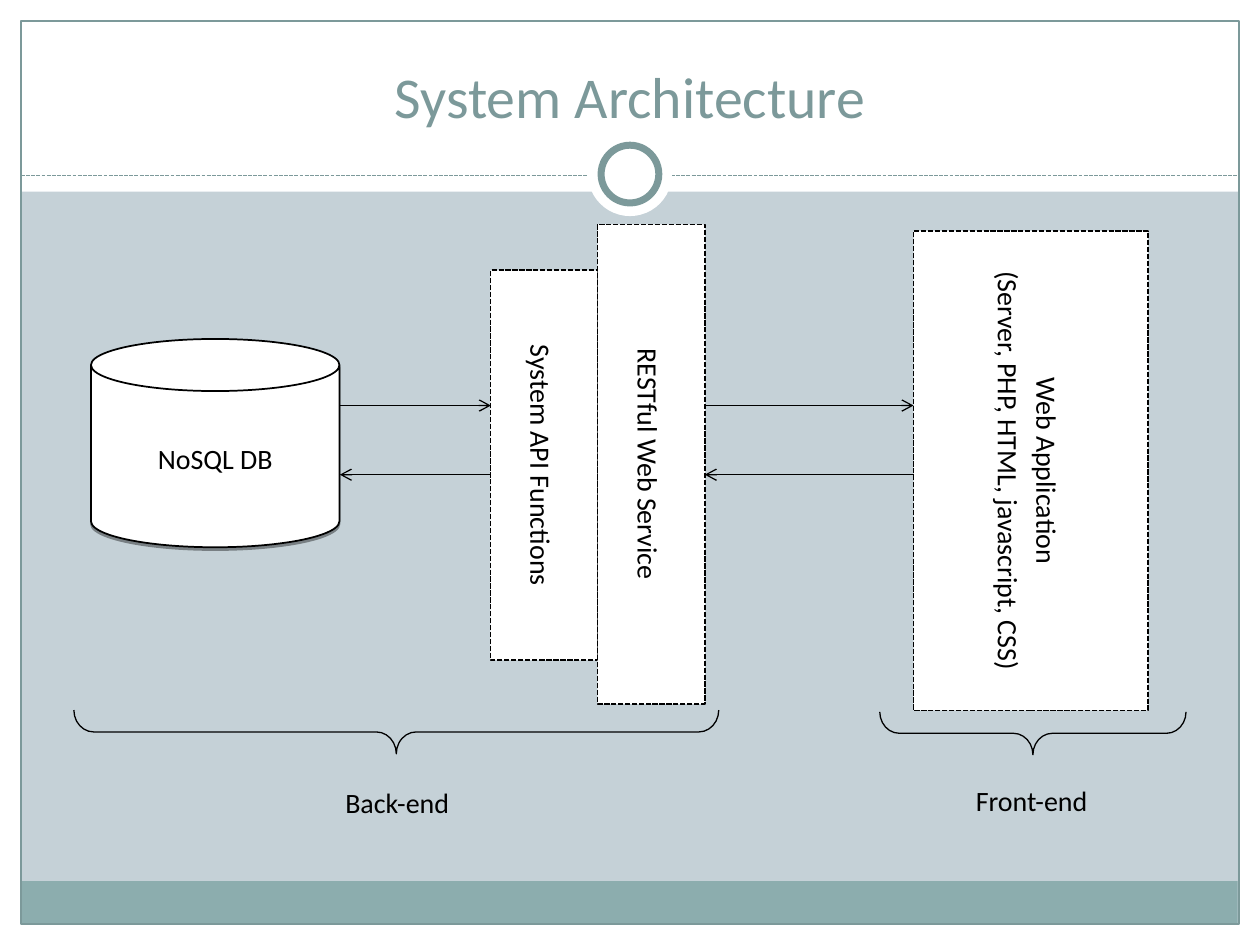
from lxml import etree
from pptx import Presentation
from pptx.dml.color import RGBColor
from pptx.enum import dml, shapes, text
from pptx.oxml.ns import qn
from pptx.util import Pt

COLORS = {"background": "C5D1D7", "white": "FFFFFF", "band": "8CADAE",
          "accent": "7C999A", "black": "000000"}
FONT = "Calibri"
KIND = shapes.MSO_SHAPE

presentation = Presentation()
presentation.slide_width, presentation.slide_height = Pt(720), Pt(540)
slide = presentation.slides.add_slide(presentation.slide_layouts[5])
slide.background.fill.solid()
slide.background.fill.fore_color.rgb = RGBColor.from_string(COLORS["background"])


def add_shape(kind, box, fill=None, line=None, width=0.75, dashed=False):
    shape = slide.shapes.add_shape(kind, *[Pt(value) for value in box])
    shape.shadow.inherit = False
    if fill:
        shape.fill.solid()
        shape.fill.fore_color.rgb = RGBColor.from_string(COLORS[fill])
    else:
        shape.fill.background()
    if line:
        shape.line.color.rgb = RGBColor.from_string(COLORS[line])
        shape.line.width = Pt(width)
        if dashed:
            shape.line.dash_style = dml.MSO_LINE.SQUARE_DOT
    else:
        shape.line.fill.background()
    return shape


def add_line(start_x, end_x, y, color):
    connector = slide.shapes.add_connector(
        shapes.MSO_CONNECTOR.STRAIGHT, Pt(start_x), Pt(y), Pt(end_x), Pt(y))
    connector.line.color.rgb = RGBColor.from_string(COLORS[color])
    connector.line.width = Pt(0.75)
    etree.SubElement(connector._element.spPr, qn("a:effectLst"))
    return connector


# Slide frame: white margins, bottom band and outline
for box, fill in [((0, 528, 720, 12), "white"), ((0, 0, 720, 109.5), "white"),
                  ((0, 0, 12, 540), "white"), ((708, 0, 12, 540), "white"),
                  ((11.75, 503.5, 695.5, 24.5), "band")]:
    add_shape(KIND.RECTANGLE, box, fill)
add_shape(KIND.RECTANGLE, (12, 12, 696, 516), line="accent")

# Dashed divider with ring
divider = add_line(12, 708, 100.5, "accent")
divider.line.dash_style = dml.MSO_LINE.SQUARE_DOT
add_shape(KIND.OVAL, (336, 75.5, 48, 48), "white")
add_shape(KIND.OVAL, (343.5, 83, 33, 33), "white", "accent", 4)

# Title, brought in front of the header
title = slide.shapes.title
slide.shapes._spTree.append(title._element)
title.left, title.top, title.width, title.height = Pt(24), Pt(18), Pt(672), Pt(60)
title.text_frame.text = "System Architecture"
title.text_frame.vertical_anchor = text.MSO_ANCHOR.BOTTOM
heading = title.text_frame.paragraphs[0]
heading.alignment = text.PP_ALIGN.CENTER
heading.font.name, heading.font.size = FONT, Pt(33)
heading.font.color.rgb = RGBColor.from_string(COLORS["accent"])

# Database cylinder with its shadow
database = add_shape(KIND.CAN, (52, 193.75, 142, 119), "white", "black", 1)
database.adjustments[0] = 0.25
effects = database._element.spPr.find(qn("a:effectLst"))
shadow = etree.SubElement(effects, qn("a:outerShdw"), blurRad="0", dist=str(Pt(1.6)),
                          dir="5400000", rotWithShape="0")
shadow_color = etree.SubElement(shadow, qn("a:srgbClr"), val=COLORS["black"])
etree.SubElement(shadow_color, qn("a:alpha"), val="38000")
labels = [(database, "NoSQL DB", 0)]

# Dashed components with vertical text
for box, wording in [
        ((280.25, 154.5, 61.25, 222.75), "System API Functions"),
        ((341.5, 128.25, 61.25, 274), "RESTful Web Service"),
        ((522, 132, 134, 274),
         "Web Application\n(Server, PHP, HTML, javascript, CSS)")]:
    component = add_shape(KIND.RECTANGLE, box, "white", "black", 1, dashed=True)
    component.text_frame._txBody.bodyPr.set("vert", "vert")
    labels.append((component, wording, 0))

# Arrows: requests to the right above, answers to the left below
for left, right in [(194.25, 280.5), (402.75, 522)]:
    for start_x, end_x, y in [(left, right, 231.75), (right, left, 271.25)]:
        arrow = add_line(start_x, end_x, y, "black")
        etree.SubElement(arrow.line._get_or_add_ln(), qn("a:tailEnd"), type="arrow")

# Braces, turned so that their tips point down
for center_x, center_y, depth, span in [(226.5, 418.25, 25, 368.5),
                                        (590.25, 419, 24.5, 175)]:
    brace = add_shape(KIND.LEFT_BRACE, (center_x - depth / 2, center_y - span / 2,
                                        depth, span), line="black")
    brace.rotation = 270
    brace.adjustments[0], brace.adjustments[1] = 0.455, 0.5

# Captions under the braces
for left, top, wording in [(151, 442.75, "Back-end"), (513.5, 441.5, "Front-end")]:
    caption = slide.shapes.add_textbox(Pt(left), Pt(top), Pt(152), Pt(34))
    labels.append((caption, wording, 10))

# Wording of components and captions
for shape, wording, space_after in labels:
    frame = shape.text_frame
    frame.word_wrap = True
    frame.text = wording
    frame.vertical_anchor = (text.MSO_ANCHOR.TOP if space_after
                             else text.MSO_ANCHOR.MIDDLE)
    for paragraph in frame.paragraphs:
        paragraph.alignment = text.PP_ALIGN.CENTER
        paragraph.line_spacing = 1.15
        paragraph.space_after = Pt(space_after)
        paragraph.font.name, paragraph.font.size = FONT, Pt(16)
        paragraph.font.color.rgb = RGBColor.from_string(COLORS["black"])

presentation.save("out.pptx")
